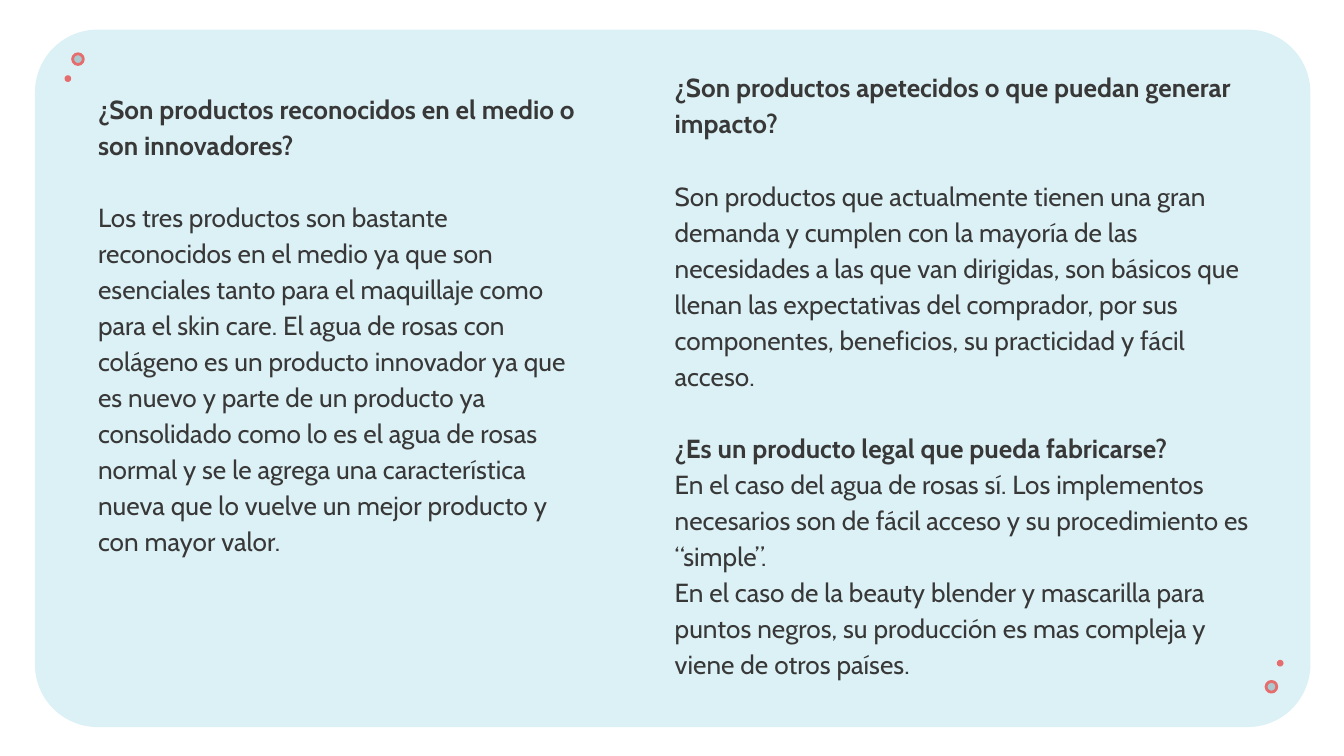
from pptx import Presentation
from pptx.dml.color import RGBColor
from pptx.enum.shapes import MSO_SHAPE as Shape
from pptx.enum.text import MSO_ANCHOR as Anchor, PP_ALIGN as Align
from pptx.util import Inches, Pt

WIDTH = 10
HEIGHT = WIDTH * 9 / 16
COLUMNS = 100  # square grid cells, so a row is as high as a column is wide

CARD, INK, CORAL, GREY_BLUE = "DCF1F5", "383838", "E66D6D", "ABCACF"


def color(code):
    return RGBColor.from_string(code)


def grid(cells):
    return Inches(cells * WIDTH / COLUMNS)


class SlideBuilder:
    font, size, spacing = "Cabin", 14, 1.15
    blank_line = 19.35  # points, one line at this size and spacing

    def __init__(self, slide):
        self.slide = slide

    def shape(self, kind, left, top, width, height, fill, line=None, parent=None):
        shapes = (parent or self.slide).shapes
        shape = shapes.add_shape(kind, *map(grid, (left, top, width, height)))
        shape.shadow.inherit = False
        shape.fill.solid()
        shape.fill.fore_color.rgb = color(fill)
        if line:
            shape.line.color.rgb = color(line)
            shape.line.width = Pt(1.5)
        else:
            shape.line.fill.background()
        return shape

    def card(self, left, top, width, height, corner):
        card = self.shape(Shape.ROUNDED_RECTANGLE, left, top, width, height, CARD)
        card.adjustments[0] = corner

    def bubbles(self, ring, dot):
        """A ring and a small dot, each given by its left and top."""
        group = self.slide.shapes.add_group_shape()
        self.shape(Shape.OVAL, *ring, 0.8, 0.8, GREY_BLUE, CORAL, group)
        self.shape(Shape.OVAL, *dot, 0.5, 0.5, CORAL, parent=group)

    def text(self, left, top, width, height, paragraphs):
        """Paragraphs are (text, bold, whether a line is left free above)."""
        box = self.slide.shapes.add_textbox(*map(grid, (left, top, width, height)))
        frame = box.text_frame
        frame.word_wrap = True
        frame.vertical_anchor = Anchor.TOP
        frame.margin_left = Inches(0.25)
        frame.margin_top = frame.margin_right = frame.margin_bottom = Inches(0.1)
        for index, (words, bold, gap) in enumerate(paragraphs):
            paragraph = frame.add_paragraph() if index else frame.paragraphs[0]
            paragraph.alignment = Align.LEFT
            paragraph.line_spacing = self.spacing
            paragraph.space_before = Pt(self.blank_line if gap else 0)
            run = paragraph.add_run()
            run.text = words
            run.font.name, run.font.size = self.font, Pt(self.size)
            run.font.bold = bold
            run.font.color.rgb = color(INK)


def main():
    presentation = Presentation()
    presentation.slide_width, presentation.slide_height = Inches(WIDTH), Inches(HEIGHT)
    blank_layout = presentation.slide_layouts[6]
    builder = SlideBuilder(presentation.slides.add_slide(blank_layout))

    # Background card
    builder.card(2.6, 2.2, 94.9, 51.9, corner=0.09)

    # Left column: recognition and innovation
    builder.text(4.8, 5.6, 39.7, 19.3, [
        ("¿Son productos reconocidos en el medio o son innovadores?", True, False),
        ("Los tres productos son bastante reconocidos en el medio ya que son "
         "esenciales tanto para el maquillaje como para el skin care. El agua de "
         "rosas con colágeno es un producto innovador ya que es nuevo y parte de un "
         "producto ya consolidado como lo es el agua de rosas normal y se le agrega "
         "una característica nueva que lo vuelve un mejor producto y con mayor "
         "valor.", False, True),
    ])

    # Right column: demand and legality
    builder.text(47.7, 4, 46.5, 23.6, [
        ("¿Son productos apetecidos o que puedan generar impacto?", True, False),
        ("Son productos que actualmente tienen una gran demanda y cumplen con la "
         "mayoría de las necesidades a las que van dirigidas, son básicos que llenan "
         "las expectativas del comprador, por sus componentes, beneficios, su "
         "practicidad y fácil acceso.", False, True),
        ("¿Es un producto legal que pueda fabricarse?", True, True),
        ("En el caso del agua de rosas sí. Los implementos necesarios son de fácil "
         "acceso y su procedimiento es “simple”.", False, False),
        ("En el caso de la beauty blender y mascarilla para puntos negros, su "
         "producción es mas compleja y viene de otros países.", False, False),
    ])

    # Corner bubbles
    builder.bubbles(ring=(5.4, 4), dot=(4.8, 5.6))
    builder.bubbles(ring=(94.2, 50.7), dot=(95, 49.1))

    presentation.save("out.pptx")


if __name__ == "__main__":
    main()
